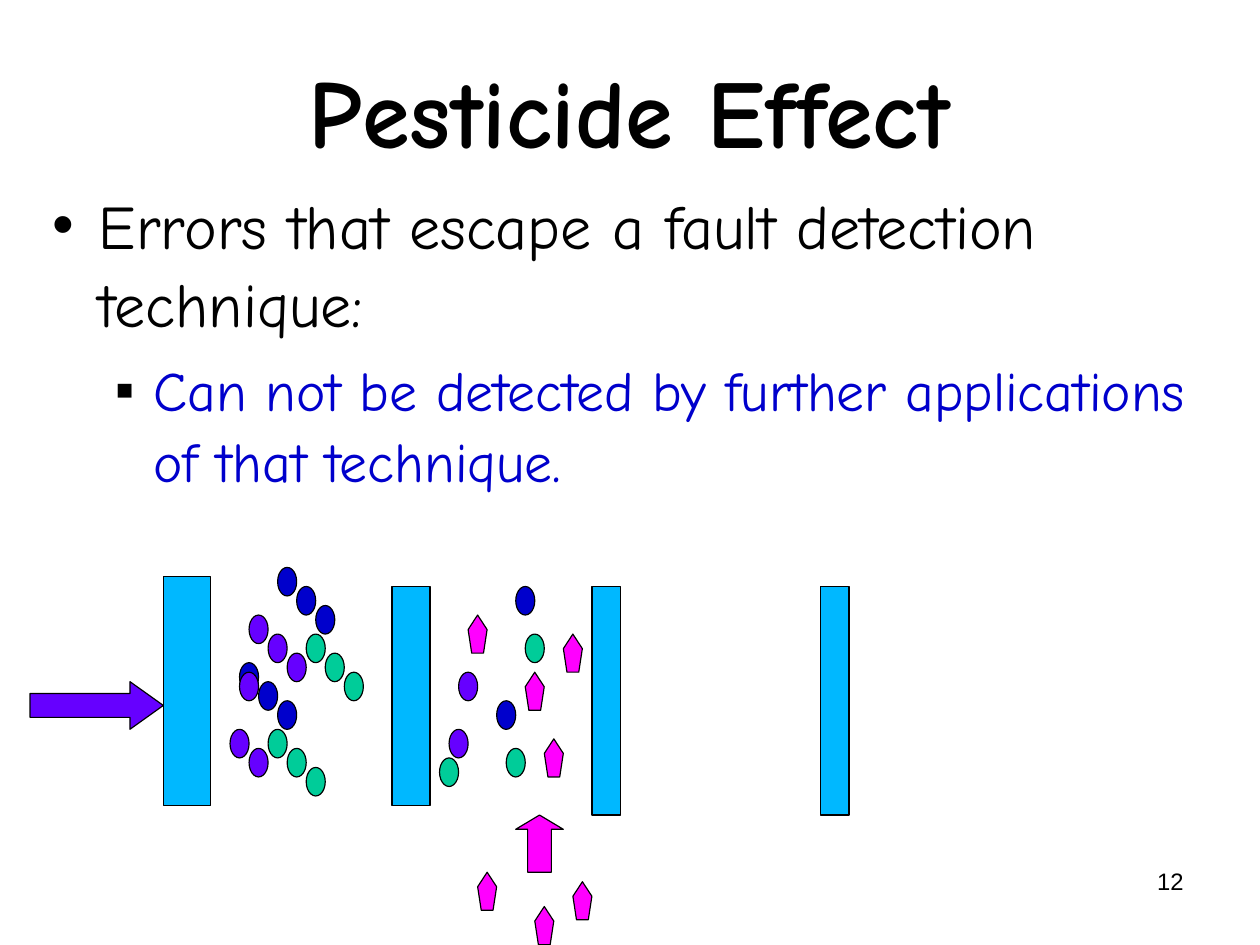
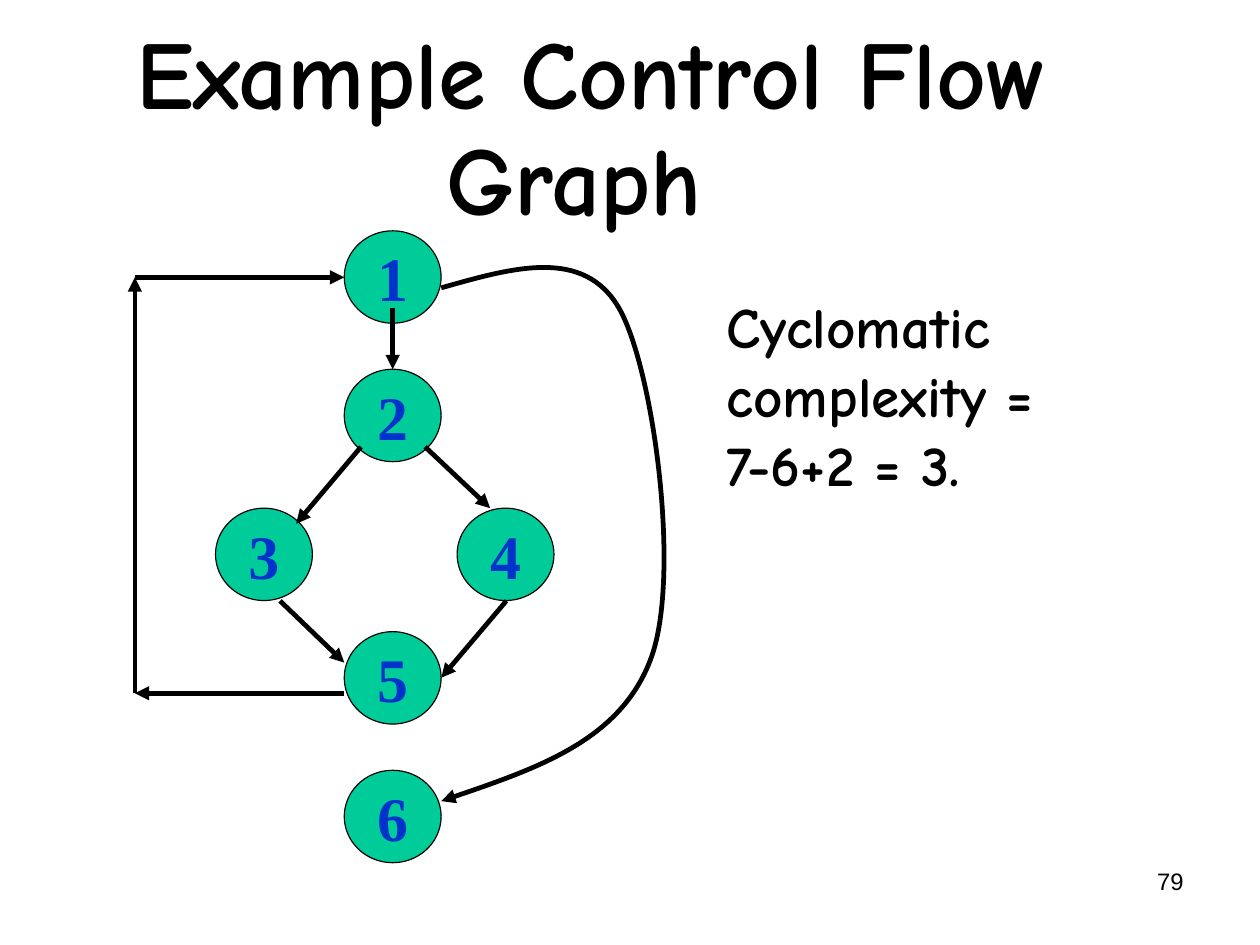
from dataclasses import dataclass

from lxml import etree
from pptx import Presentation
from pptx.dml.color import RGBColor
from pptx.enum.shapes import MSO_CONNECTOR, MSO_SHAPE as Shp
from pptx.enum.text import MSO_ANCHOR as Anchor, PP_ALIGN as Align
from pptx.oxml.ns import qn
from pptx.util import Pt

BLACK = RGBColor(0x00, 0x00, 0x00)
BLUE = RGBColor(0x00, 0x00, 0xCC)
PURPLE = RGBColor(0x66, 0x00, 0xFF)
GREEN = RGBColor(0x00, 0xCC, 0x99)
PINK = RGBColor(0xFF, 0x00, 0xFF)
SKY = RGBColor(0x00, 0xB8, 0xFF)
NODE_TEXT = RGBColor(0x00, 0x33, 0xCC)

HAND_FONT, NUMBER_FONT, NODE_FONT = "Comic Neue", "Arial", "Times New Roman"

SLIDE_W, SLIDE_H = 793.75, 595.25

# Grid of the pesticide drawing
STEP, GRID_X, GRID_Y = 6, 0.9, 3.4

NODE_W, NODE_H = 61, 58.2


@dataclass(frozen=True)
class Box:
    x: float
    y: float
    w: float
    h: float

    def emu(self):
        return Pt(self.x), Pt(self.y), Pt(self.w), Pt(self.h)


@dataclass(frozen=True)
class Trail:
    """Equal marks running diagonally down from one grid cell."""
    color: RGBColor
    col: float
    row: float
    count: int = 1


@dataclass(frozen=True)
class Barrier:
    col: int
    row: int
    w: float
    h: float


@dataclass(frozen=True)
class Bullet:
    text: str
    size: float
    color: RGBColor
    mark: str
    left: float
    hang: float
    before: float


@dataclass(frozen=True)
class Node:
    label: str
    x: float
    y: float


@dataclass(frozen=True)
class Edge:
    x1: float
    y1: float
    x2: float
    y2: float
    top_of: str = ""


BULLETS = (
    Bullet("Errors that escape a fault detection technique:",
           39, BLACK, "•", 29.5, 29.5, 9.8),
    Bullet("Can not be detected by further applications of that technique.",
           35, BLUE, "▪", 64, 24.5, 8.6),
)

BARRIERS = (
    Barrier(17, 60, 30, 144),
    Barrier(41, 61, 24, 138),
    Barrier(62, 61, 18, 144),
    Barrier(86, 61, 18, 144),
)

BUGS = (
    Trail(BLUE, 25, 69, 3),
    Trail(PURPLE, 25, 70),
    Trail(PURPLE, 24, 76, 2),
    Trail(GREEN, 28, 76, 3),
    Trail(BLUE, 29, 59, 3),
    Trail(PURPLE, 26, 64, 3),
    Trail(GREEN, 32, 66, 3),
    Trail(GREEN, 46, 79),
    Trail(BLUE, 52, 73),
    Trail(PURPLE, 48, 70),
    Trail(PURPLE, 47, 76),
    Trail(GREEN, 53, 78),
    Trail(BLUE, 54, 61),
    Trail(GREEN, 55, 66),
)

NEW_BUGS = tuple(Trail(PINK, col, row) for col, row in (
    (49, 64), (55, 70), (57, 77), (59, 66), (50, 91), (56, 94.6), (60, 92)))

NODES = (
    Node("1", 216.9, 145.4),
    Node("2", 216.9, 232.6),
    Node("3", 135.8, 320.1),
    Node("4", 288, 320.1),
    Node("5", 216.9, 397.9),
    Node("6", 216.9, 485.2),
)

LOOP_X, LOOP_TOP, LOOP_BOTTOM = 85, 174.7, 436.7

EDGES = (
    Edge(247.4, 194.2, 247.4, 232.6, top_of="2"),
    Edge(227.4, 281.5, 186.6, 329.9),
    Edge(267.8, 281.5, 308.8, 320.1),
    Edge(176.4, 378.5, 216.9, 417.4),
    Edge(319, 378.5, 278, 426.9),
    Edge(216.9, LOOP_BOTTOM, LOOP_X, LOOP_BOTTOM),
    Edge(LOOP_X, LOOP_BOTTOM, LOOP_X, LOOP_TOP),
    Edge(LOOP_X, LOOP_TOP, 216.9, LOOP_TOP),
)

EXIT_START = (278, 181.3)
EXIT_CONTROLS = (
    (323.3, 168.5), (367.9, 155.5), (390.2, 194.4),
    (411.8, 232.6), (429.1, 362.2), (410.4, 414),
    (391.7, 465.8), (334.8, 485.3), (278, 504.6),
)


def style_runs(p, font: str, size: float, color: RGBColor, bold=False):
    for r in p.runs:
        r.font.name, r.font.size, r.font.bold = font, Pt(size), bold
        r.font.color.rgb = color


def set_frame(tf, anchor, wrap=True):
    tf.word_wrap = wrap
    tf.vertical_anchor = anchor
    tf.margin_left = tf.margin_right = Pt(7.9)
    tf.margin_top = tf.margin_bottom = Pt(4)


def add_text(s, box: Box, text: str, font: str, size: float, bold=False,
             align=Align.LEFT, anchor=Anchor.TOP, spacing=1.0):
    tf = s.shapes.add_textbox(*box.emu()).text_frame
    set_frame(tf, anchor)
    p = tf.paragraphs[0]
    p.text = text
    p.alignment, p.line_spacing = align, spacing
    style_runs(p, font, size, BLACK, bold)


def add_slide(prs, title: str, title_box: Box, number: int):
    s = prs.slides.add_slide(prs.slide_layouts[6])
    add_text(s, Box(568.6, 542, 185, 41), str(number), NUMBER_FONT, 15,
             align=Align.RIGHT)
    add_text(s, title_box, title, HAND_FONT, 61, True, Align.CENTER,
             Anchor.MIDDLE, 0.91)
    return s


def add_bullets(s, box: Box, bullets):
    tf = s.shapes.add_textbox(*box.emu()).text_frame
    set_frame(tf, Anchor.TOP)
    for i, item in enumerate(bullets):
        p = tf.add_paragraph() if i else tf.paragraphs[0]
        p.text = item.text
        p.level = i
        p.line_spacing, p.space_before = 1.05, Pt(item.before)
        style_runs(p, HAND_FONT, item.size, item.color)
        ppr = p._p.get_or_add_pPr()
        ppr.set("marL", str(Pt(item.left)))
        ppr.set("indent", str(-Pt(item.hang)))
        clr = etree.SubElement(ppr, qn("a:buClr"))
        etree.SubElement(clr, qn("a:srgbClr"), val=str(BLACK))
        etree.SubElement(ppr, qn("a:buFont"), typeface=NUMBER_FONT)
        etree.SubElement(ppr, qn("a:buChar"), char=item.mark)


def add_filled(s, kind, box: Box, color: RGBColor, adjustments=()):
    sp = s.shapes.add_shape(kind, *box.emu())
    sp.shadow.inherit = False
    sp.fill.solid()
    sp.fill.fore_color.rgb = color
    sp.line.color.rgb, sp.line.width = BLACK, Pt(0.75)
    for i, value in enumerate(adjustments):
        sp.adjustments[i] = value
    return sp


def grid_box(col: float, row: float, w: float, h: float) -> Box:
    return Box(GRID_X + STEP * col, GRID_Y + STEP * row, w, h)


def add_trail(s, kind, trail: Trail, h: float):
    for i in range(trail.count):
        add_filled(s, kind, grid_box(trail.col + 2 * i, trail.row + 2 * i, 12, h),
                   trail.color)


def add_node(s, node: Node):
    sp = add_filled(s, Shp.OVAL, Box(node.x, node.y, NODE_W, NODE_H), GREEN)
    set_frame(sp.text_frame, Anchor.MIDDLE, wrap=False)
    p = sp.text_frame.paragraphs[0]
    p.text = node.label
    p.alignment = Align.CENTER
    style_runs(p, NODE_FONT, 39, NODE_TEXT, True)
    return sp


def style_arrow(line):
    line.color.rgb, line.width = BLACK, Pt(3)
    etree.SubElement(line._get_or_add_ln(), qn("a:tailEnd"), type="triangle")


def add_edge(s, edge: Edge, nodes):
    c = s.shapes.add_connector(MSO_CONNECTOR.STRAIGHT, Pt(edge.x1), Pt(edge.y1),
                               Pt(edge.x2), Pt(edge.y2))
    if edge.top_of:
        c.end_connect(nodes[edge.top_of], 0)
    style_arrow(c.line)
    etree.SubElement(c._element.spPr, qn("a:effectLst"))


def add_curve(s, start, controls):
    """Draw an open Bézier arrow; each three controls make one segment."""
    builder = s.shapes.build_freeform(Pt(start[0]), Pt(start[1]))
    builder.add_line_segments([(Pt(x), Pt(y)) for x, y in controls], close=False)
    sp = builder.convert_to_shape()
    sp.shadow.inherit = False
    sp.fill.background()
    style_arrow(sp.line)
    lines = list(sp._element.iter(qn("a:lnTo")))
    outline = lines[0].getparent()
    for i in range(0, len(lines), 3):
        curve = etree.SubElement(outline, qn("a:cubicBezTo"))
        for line_to in lines[i:i + 3]:
            curve.append(line_to[0])
            outline.remove(line_to)


def build_pesticide(prs):
    s = add_slide(prs, "Pesticide Effect", Box(39.7, -3.6, 713.5, 154), 12)
    add_bullets(s, Box(24.9, 111.6, 749.5, 448.5), BULLETS)
    for b in BARRIERS:
        add_filled(s, Shp.RECTANGLE, grid_box(b.col, b.row, b.w, b.h), SKY)
    add_filled(s, Shp.RIGHT_ARROW, grid_box(3, 71, 84, 30), PURPLE, (0.5, 0.7))
    add_filled(s, Shp.UP_ARROW, grid_box(54, 85, 30, 36), PINK, (0.5, 0.3))
    for trail in BUGS:
        add_trail(s, Shp.OVAL, trail, 18)
    for trail in NEW_BUGS:
        add_trail(s, Shp.REGULAR_PENTAGON, trail, 24)


def build_flow_graph(prs):
    s = add_slide(prs, "Example Control Flow Graph ", Box(35.3, 32.8, 674.6, 99.4), 79)
    nodes = {node.label: add_node(s, node) for node in NODES}
    for edge in EDGES:
        add_edge(s, edge, nodes)
    add_curve(s, EXIT_START, EXIT_CONTROLS)
    add_text(s, Box(449.8, 179.8, 266.4, 136.8),
             "Cyclomatic complexity = \n7-6+2 = 3.", HAND_FONT, 36, True)


def main():
    prs = Presentation()
    prs.slide_width, prs.slide_height = Pt(SLIDE_W), Pt(SLIDE_H)
    build_pesticide(prs)
    build_flow_graph(prs)
    prs.save("out.pptx")


if __name__ == "__main__":
    main()
